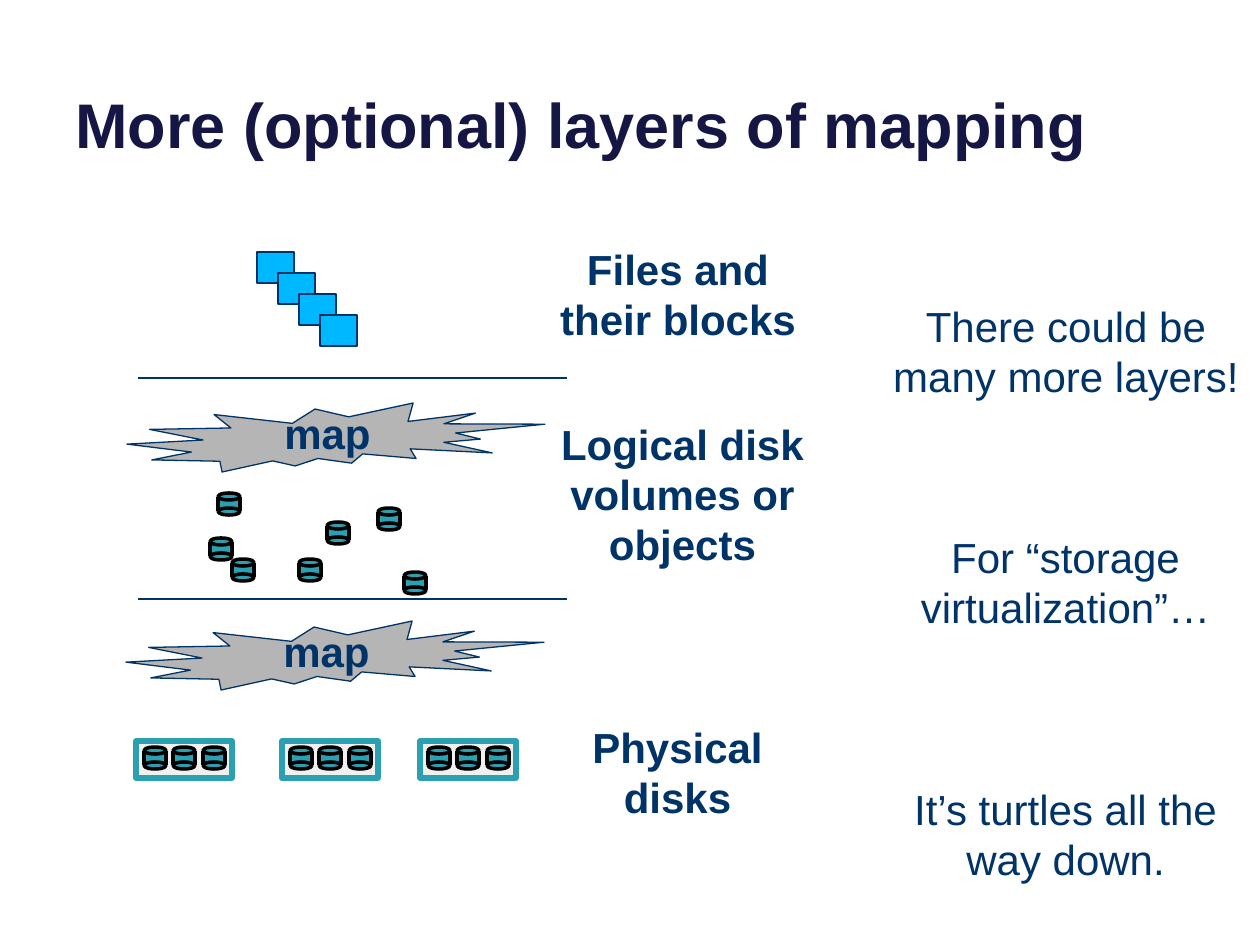
from typing import NamedTuple

from pptx import Presentation
from pptx import util as u
from pptx.dml.color import RGBColor
from pptx.enum import shapes, text
from pptx.oxml.ns import qn
from lxml import etree

PX = 914400 / 126
NAVY, TITLE_NAVY, TEAL, BLACK = "003367", "161645", "2AA0B1", "000000"
GREY, PALE, SKY = "B5B5B5", "F0F0F0", "00B8FF"
RECT, OVAL = shapes.MSO_SHAPE.RECTANGLE, shapes.MSO_SHAPE.OVAL
BURST = shapes.MSO_SHAPE.EXPLOSION2


class Box(NamedTuple):
    x: int
    y: int
    w: int
    h: int


class Label(NamedTuple):
    wording: str
    box: Box
    bold: bool = True


class Spot(NamedTuple):
    x: int
    y: int


def px(length: int) -> int:
    return round(length * PX)


def colour(value: str) -> RGBColor:
    return RGBColor.from_string(value)


def apply(target, values: dict) -> None:
    for name, value in values.items():
        setattr(target, name, value)


def draw_line_style(line, tint: str, points: float) -> None:
    line.color.rgb = colour(tint)
    line.width = u.Pt(points)


def draw_shape(parent, kind, box: Box, fill: str, edge: str = "", points: float = 0.75) -> None:
    shape = parent.add_shape(kind, *map(px, box))
    shape.shadow.inherit = False
    shape.fill.solid()
    shape.fill.fore_color.rgb = colour(fill)
    if edge:
        draw_line_style(shape.line, edge, points)
    else:
        shape.line.fill.background()


def draw_rule(parent, start: Spot, end: Spot, tint: str, points: float) -> None:
    rule = parent.add_connector(shapes.MSO_CONNECTOR.STRAIGHT, *map(px, start + end))
    draw_line_style(rule.line, tint, points)
    etree.SubElement(rule._element.spPr, qn("a:effectLst"))


def draw_text(parent, label: Label, font: dict, frame: dict, align, tint: str) -> None:
    holder = parent.add_textbox(*map(px, label.box)).text_frame
    apply(holder, {"word_wrap": True, **frame})
    paragraph = holder.paragraphs[0]
    paragraph.alignment = align
    run = paragraph.add_run()
    run.text = label.wording
    apply(run.font, {"name": "Arial", "bold": label.bold, **font})
    run.font.color.rgb = colour(tint)


def draw_label(parent, label: Label) -> None:
    draw_text(parent, label, {"size": u.Pt(24)},
              {"auto_size": text.MSO_AUTO_SIZE.SHAPE_TO_FIT_TEXT},
              text.PP_ALIGN.CENTER, NAVY)


def draw_disk(parent, spot: Spot) -> None:
    x, y = spot
    draw_shape(parent, RECT, Box(x, y + 3, 22, 13), TEAL)
    for rim in (y, y + 15):
        draw_shape(parent, OVAL, Box(x, rim, 22, 7), TEAL, BLACK, 2)
    for side in (x + 22, x):
        draw_rule(parent, Spot(side, y + 4), Spot(side, y + 18), BLACK, 2)


def draw_disk_array(parent, spot: Spot) -> None:
    draw_shape(parent, RECT, Box(*spot, 96, 37), PALE, TEAL, 3)
    for slot in range(3):
        draw_disk(parent, Spot(spot.x + 8 + slot * 59 // 2, spot.y + 6))


def draw_map(parent, spot: Spot) -> None:
    draw_shape(parent, BURST, Box(*spot, 418, 69), GREY, NAVY)
    draw_label(parent, Label("map", Box(spot.x + 106, spot.y - 2, 189, 63)))


TITLE = Label("More (optional) layers of mapping", Box(63, -47, 1134, 214))
ARRAYS = [Spot(x, 741) for x in (136, 282, 420)]
VOLUMES = [Spot(210, 538), Spot(232, 559), Spot(299, 559), Spot(218, 493),
           Spot(378, 508), Spot(327, 522), Spot(404, 572)]
MAPS = [Spot(126, 621), Spot(127, 403)]
LABELS = [
    Label("Files and their blocks", Box(536, 237, 284, 115)),
    Label("Logical disk volumes or objects", Box(525, 412, 315, 165)),
    Label("Physical disks", Box(567, 715, 221, 115)),
    Label("There could be many more layers!", Box(872, 294, 388, 115), False),
    Label("For “storage virtualization”…", Box(892, 525, 347, 115), False),
    Label("It’s turtles all the way down.", Box(892, 777, 347, 115), False),
]


def main() -> None:
    deck = Presentation()
    apply(deck, {"slide_width": px(1260), "slide_height": px(945)})
    canvas = deck.slides.add_slide(deck.slide_layouts[6]).shapes

    draw_text(canvas, TITLE, {"size": u.Pt(36)},
              {"vertical_anchor": text.MSO_ANCHOR.BOTTOM},
              text.PP_ALIGN.LEFT, TITLE_NAVY)
    for array in ARRAYS:
        draw_disk_array(canvas.add_group_shape().shapes, array)
    for volume in VOLUMES:
        draw_disk(canvas.add_group_shape().shapes, volume)
    for mapping in MAPS:
        draw_map(canvas, mapping)
    for block in range(4):
        draw_shape(canvas, RECT, Box(257 + 21 * block, 252 + 21 * block, 37, 31), SKY, NAVY)
    for boundary in (378, 599):
        draw_rule(canvas, Spot(138, boundary), Spot(567, boundary), NAVY, 0.75)
    for label in LABELS:
        draw_label(canvas, label)

    deck.save("out.pptx")


if __name__ == "__main__":
    main()
